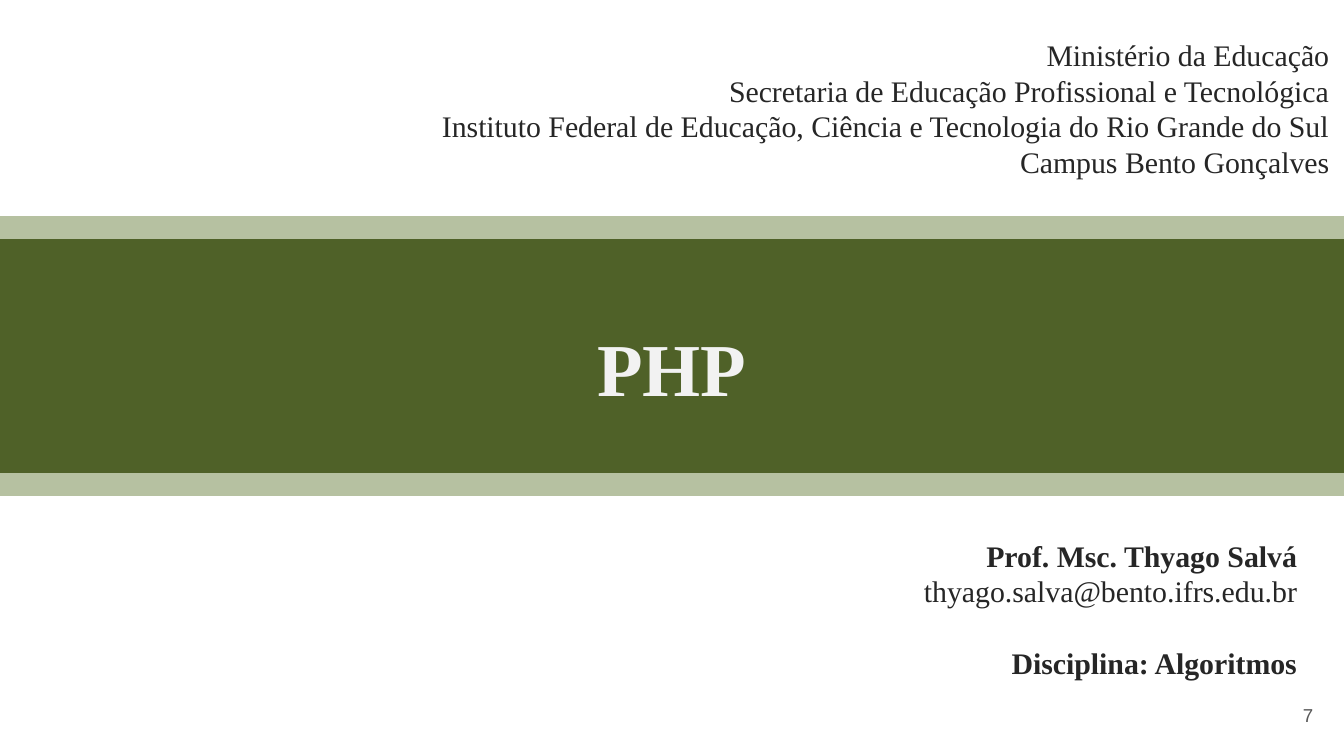
from dataclasses import dataclass

from lxml.etree import SubElement
from pptx import Presentation
from pptx.dml.color import RGBColor
from pptx.enum.shapes import MSO_SHAPE
from pptx.enum.text import MSO_ANCHOR, PP_ALIGN
from pptx.oxml.ns import qn
from pptx.util import Inches, Pt

WIDTH = 10
HEIGHT = WIDTH * 9 / 16


@dataclass(frozen=True)
class Theme:
    serif: str = "Times New Roman"
    sans: str = "Arial"
    green: str = "4F6128"
    pale: str = "EAF1DD"
    light: str = "F2F2F2"
    dark: str = "262626"
    grey: str = "595959"
    title_size: int = 40
    body_size: int = 16
    number_size: int = 10


@dataclass(frozen=True)
class Line:
    text: str
    bold: bool = False
    space_before: float = 0


class SlideBuilder:
    """Places elements by percentages of the slide's width and height."""

    def __init__(self, slide, theme):
        self.slide = slide
        self.theme = theme

    def frame(self, left, top, width, height):
        return (Inches(left * WIDTH / 100), Inches(top * HEIGHT / 100),
                Inches(width * WIDTH / 100), Inches(height * HEIGHT / 100))

    def band(self, top, height, color, opacity=100):
        shape = self.slide.shapes.add_shape(
            MSO_SHAPE.RECTANGLE, *self.frame(0, top, 100, height))
        shape.shadow.inherit = False
        shape.line.fill.background()
        shape.fill.solid()
        shape.fill.fore_color.rgb = RGBColor.from_string(color)
        if opacity < 100:
            color_element = next(shape.element.spPr.iter(qn("a:srgbClr")))
            SubElement(color_element, qn("a:alpha"), val=str(opacity * 1000))

    def text(self, place, lines, size, color, font=None, align=PP_ALIGN.RIGHT,
             anchor=MSO_ANCHOR.MIDDLE):
        shape = self.slide.shapes.add_textbox(*self.frame(*place))
        text_frame = shape.text_frame
        text_frame.word_wrap = True
        text_frame.vertical_anchor = anchor
        for index, line in enumerate(lines):
            paragraph = (text_frame.add_paragraph() if index
                         else text_frame.paragraphs[0])
            paragraph.alignment = align
            paragraph.space_before = Pt(line.space_before)
            run = paragraph.add_run()
            run.text = line.text
            run.font.name = font or self.theme.serif
            run.font.size = Pt(size)
            run.font.bold = line.bold
            run.font.color.rgb = RGBColor.from_string(color)


def main():
    presentation = Presentation()
    presentation.slide_width = Inches(WIDTH)
    presentation.slide_height = Inches(HEIGHT)
    slide = presentation.slides.add_slide(presentation.slide_layouts[6])
    theme = Theme()
    builder = SlideBuilder(slide, theme)

    # Title banner with a pale strip along each edge
    banner_top, banner_height, strip_height = 28.6, 37, 3
    builder.band(banner_top, banner_height, theme.green)
    builder.text((0, 31.5, 100, 34), [Line("PHP", bold=True)],
                 theme.title_size, theme.light, align=PP_ALIGN.CENTER)
    for strip_top in (banner_top, banner_top + banner_height - strip_height):
        builder.band(strip_top, strip_height, theme.pale, opacity=67)

    # Institution
    institution = [
        Line("Ministério da Educação"),
        Line("Secretaria de Educação Profissional e Tecnológica"),
        Line("Instituto Federal de Educação, Ciência e Tecnologia do Rio Grande do Sul"),
        Line("Campus Bento Gonçalves"),
    ]
    builder.text((-0.1, -0.1, 100, 28.8), institution, theme.body_size,
                 theme.dark)

    # Teacher and course
    teacher = [
        Line("Prof. Msc. Thyago Salvá", bold=True),
        Line("thyago.salva@bento.ifrs.edu.br"),
        Line("Disciplina: Algoritmos", bold=True, space_before=19),
    ]
    builder.text((42.8, 70.2, 54.7, 22.4), teacher, theme.body_size,
                 theme.dark, anchor=MSO_ANCHOR.TOP)

    # Slide number
    builder.text((92.7, 90.7, 6, 7.7), [Line("7")],
                 theme.number_size, theme.grey, font=theme.sans)

    presentation.save("out.pptx")


if __name__ == "__main__":
    main()
